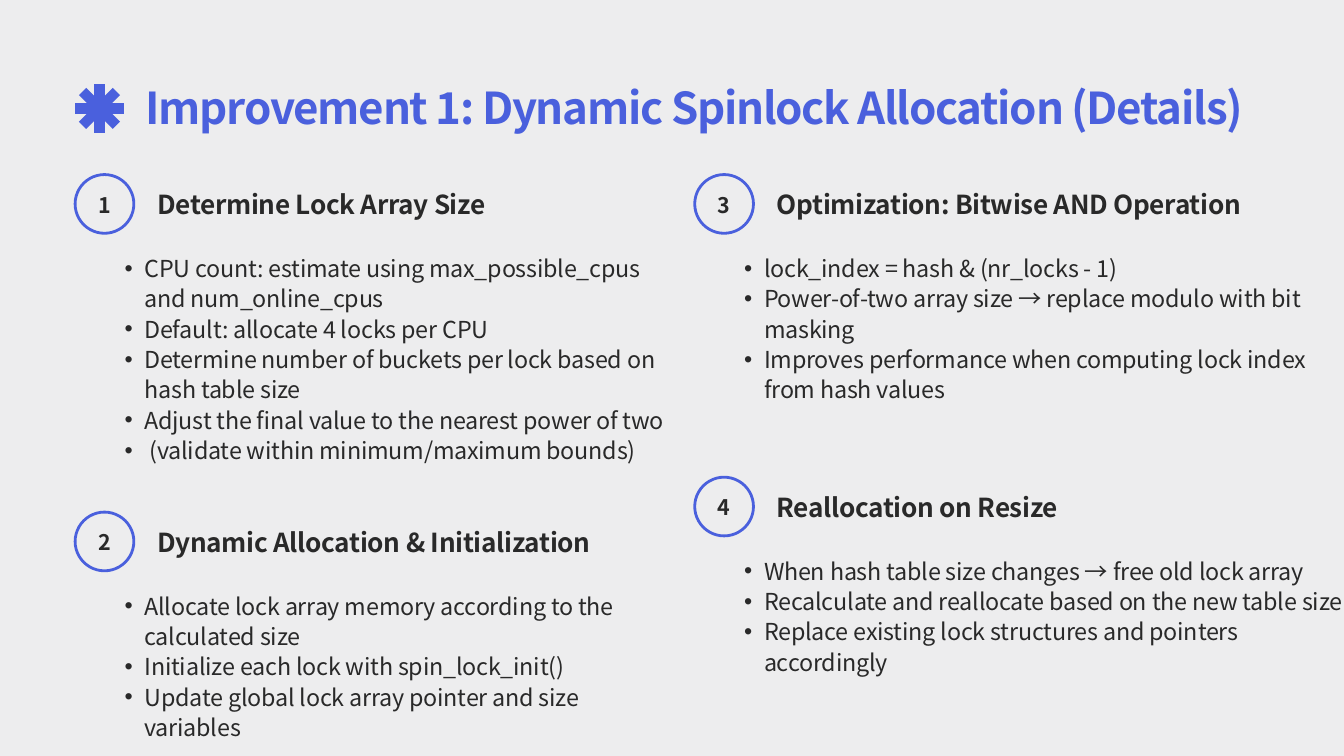
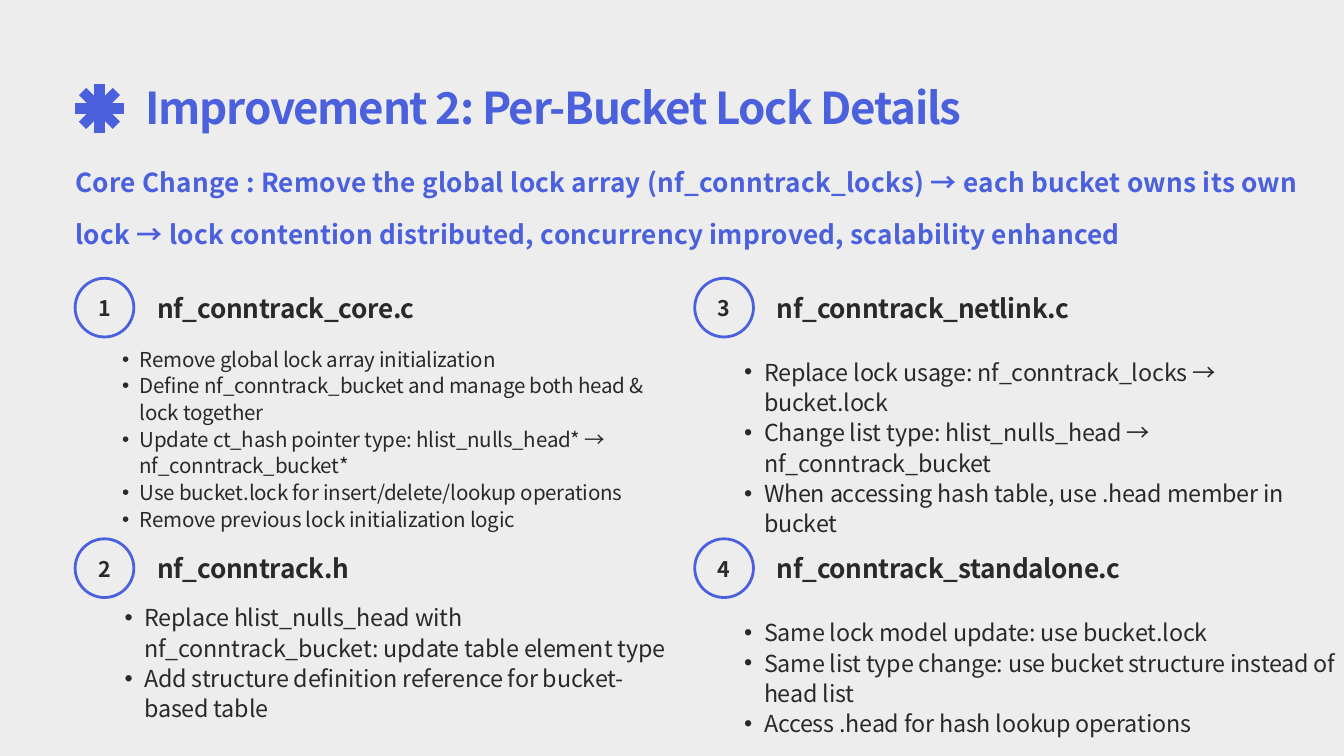
from dataclasses import dataclass

from lxml import etree
from pptx import Presentation
from pptx.dml.color import RGBColor
from pptx.enum.shapes import MSO_CONNECTOR, MSO_SHAPE
from pptx.enum.text import MSO_ANCHOR, MSO_AUTO_SIZE, PP_ALIGN
from pptx.oxml.ns import qn
from pptx.util import Cm, Pt

STRAIGHT = MSO_CONNECTOR.STRAIGHT
OVAL = MSO_SHAPE.OVAL
MIDDLE = MSO_ANCHOR.MIDDLE
FIT_SHAPE = MSO_AUTO_SIZE.SHAPE_TO_FIT_TEXT
CENTER = PP_ALIGN.CENTER

COLORS = {"background": "EDEDEE", "accent": "4A60DD", "ink": "292929"}
FONT = "Noto Sans CJK KR"
LEFT = 2.84
COLUMN_PITCH = 23.42
BADGE_SIZE = 2.22
ASTERISK_CENTER = (3.76, 4.1)
ASTERISK_SPOKES = [(-0.91, 0), (0, 0.91), (-0.64, 0.64), (0.64, 0.64)]


@dataclass
class Topic:
    number: int
    column: int
    top: float
    heading: str
    points: list
    width: float
    height: float
    heading_width: float = 14.78
    points_gap: float = 2.92
    size: int = 25


def rgb(name):
    return RGBColor.from_string(COLORS[name])


def style_paragraph(paragraph, size, color, bold=False, leading=1.0, tracking=0):
    paragraph.line_spacing = Pt(round(size * leading, 1))
    font = paragraph.font
    font.size = Pt(size)
    font.bold = bold
    font.color.rgb = rgb(color)
    font.name = FONT
    defaults = paragraph._p.pPr.find(qn("a:defRPr"))
    defaults.set("spc", str(round(tracking * 100)))
    etree.SubElement(defaults, qn("a:ea"), typeface=FONT)


def clear_margins(frame):
    frame.margin_left = frame.margin_right = frame.margin_top = frame.margin_bottom = 0


def add_text_frame(slide, left, top, width, height):
    frame = slide.shapes.add_textbox(Cm(left), Cm(top), Cm(width), Cm(height)).text_frame
    clear_margins(frame)
    frame.word_wrap = True
    frame.auto_size = FIT_SHAPE
    return frame


def add_line_of_text(slide, text, left, top, width, height, **style):
    paragraph = add_text_frame(slide, left, top, width, height).paragraphs[0]
    paragraph.text = text
    style_paragraph(paragraph, **style)


def add_bullets(slide, points, left, top, width, height, size):
    frame = add_text_frame(slide, left, top, width, height)
    for index, point in enumerate(points):
        paragraph = frame.add_paragraph() if index else frame.paragraphs[0]
        paragraph.text = point
        paragraph.level = 1
        properties = paragraph._p.get_or_add_pPr()
        properties.set("marL", str(Cm(0.06 * size)))
        properties.set("indent", str(-Cm(0.03 * size)))
        etree.SubElement(properties, qn("a:buFont"), typeface="Arial")
        etree.SubElement(properties, qn("a:buChar"), char="•")
        style_paragraph(paragraph, size, "ink", leading=1.3, tracking=-0.2)


def add_badge(slide, number, left, top):
    badge = slide.shapes.add_shape(OVAL, Cm(left), Cm(top), Cm(BADGE_SIZE), Cm(BADGE_SIZE))
    badge.shadow.inherit = False
    badge.fill.background()
    badge.line.color.rgb = rgb("accent")
    badge.line.width = Pt(3)
    frame = badge.text_frame
    clear_margins(frame)
    frame.margin_bottom = Cm(0.12)
    frame.vertical_anchor = MIDDLE
    paragraph = frame.paragraphs[0]
    paragraph.text = str(number)
    paragraph.alignment = CENTER
    style_paragraph(paragraph, 23, "ink", bold=True, leading=1.4)


def add_topic(slide, topic):
    left = LEFT + topic.column * COLUMN_PITCH
    add_line_of_text(slide, topic.heading, left + 3.1, topic.top + 0.33,
                     topic.heading_width, 1.37,
                     size=28, color="ink", bold=True, leading=1.4, tracking=-0.3)
    add_badge(slide, topic.number, left, topic.top)
    add_bullets(slide, topic.points, left + 1.12, topic.top + topic.points_gap,
                topic.width, topic.height, topic.size)


def add_asterisk(slide):
    asterisk = slide.shapes.add_group_shape()
    x, y = ASTERISK_CENTER
    for dx, dy in ASTERISK_SPOKES:
        spoke = asterisk.shapes.add_connector(
            STRAIGHT, Cm(x + dx), Cm(y + dy), Cm(x - dx), Cm(y - dy))
        spoke.line.color.rgb = rgb("accent")
        spoke.line.width = Pt(11)
        etree.SubElement(spoke._element.spPr, qn("a:effectLst"))


def add_topic_slide(deck, title, topics):
    slide = deck.slides.add_slide(deck.slide_layouts[6])
    slide.background.fill.solid()
    slide.background.fill.fore_color.rgb = rgb("background")
    for topic in topics:
        add_topic(slide, topic)
    add_asterisk(slide)
    add_line_of_text(slide, title, 5.51, 3.38, 45.29, 1.7,
                     size=47, color="accent", bold=True, tracking=-1.4)
    return slide


ALLOCATION_TOPICS = [
    Topic(1, 0, 6.6, "Determine Lock Array Size", [
        "CPU count: estimate using max_possible_cpus and num_online_cpus",
        "Default: allocate 4 locks per CPU",
        "Determine number of buckets per lock based on hash table size",
        "Adjust the final value to the nearest power of two",
        " (validate within minimum/maximum bounds)",
    ], 21.44, 9.07),
    Topic(2, 0, 19.36, "Dynamic Allocation & Initialization", [
        "Allocate lock array memory according to the calculated size",
        "Initialize each lock with spin_lock_init()",
        "Update global lock array pointer and size variables",
    ], 21.44, 5.66, heading_width=17.53),
    Topic(3, 1, 6.6, "Optimization: Bitwise AND Operation", [
        "lock_index = hash & (nr_locks - 1)",
        "Power-of-two array size → replace modulo with bit masking",
        "Improves performance when computing lock index from hash values",
    ], 22.89, 5.66, heading_width=19.46),
    Topic(4, 1, 18.04, "Reallocation on Resize", [
        "When hash table size changes → free old lock array",
        "Recalculate and reallocate based on the new table size",
        "Replace existing lock structures and pointers accordingly",
    ], 23.42, 5.66),
]

BUCKET_TOPICS = [
    Topic(1, 0, 10.52, "nf_conntrack_core.c", [
        "Remove global lock array initialization",
        "Define nf_conntrack_bucket and manage both head & lock together",
        "Update ct_hash pointer type: hlist_nulls_head* → nf_conntrack_bucket*",
        "Use bucket.lock for insert/delete/lookup operations",
        "Remove previous lock initialization logic",
    ], 21.44, 7.01, points_gap=2.51, size=22),
    Topic(2, 0, 20.37, "nf_conntrack.h", [
        "Replace hlist_nulls_head with nf_conntrack_bucket: update table element type",
        "Add structure definition reference for bucket-based table",
    ], 21.44, 5.66, points_gap=2.36),
    Topic(3, 1, 10.52, "nf_conntrack_netlink.c", [
        "Replace lock usage: nf_conntrack_locks → bucket.lock",
        "Change list type: hlist_nulls_head → nf_conntrack_bucket",
        "When accessing hash table, use .head member in bucket",
    ], 22.89, 6.78),
    Topic(4, 1, 20.37, "nf_conntrack_standalone.c", [
        "Same lock model update: use bucket.lock",
        "Same list type change: use bucket structure instead of head list",
        "Access .head for hash lookup operations",
    ], 23.42, 4.52),
]

CORE_CHANGE = (
    "Core Change : Remove the global lock array (nf_conntrack_locks) → each bucket owns "
    "its own lock → lock contention distributed, concurrency improved, scalability enhanced"
)


def main():
    deck = Presentation()
    deck.slide_width = Cm(50.8)
    deck.slide_height = Cm(28.58)
    add_topic_slide(deck, "Improvement 1: Dynamic Spinlock Allocation (Details)",
                    ALLOCATION_TOPICS)
    bucket_slide = add_topic_slide(deck, "Improvement 2: Per-Bucket Lock Details",
                                   BUCKET_TOPICS)
    add_line_of_text(bucket_slide, CORE_CHANGE, LEFT, 5.49, 47.24, 3.76,
                     size=28, color="accent", bold=True, leading=2, tracking=0.3)
    deck.save("out.pptx")


if __name__ == "__main__":
    main()
